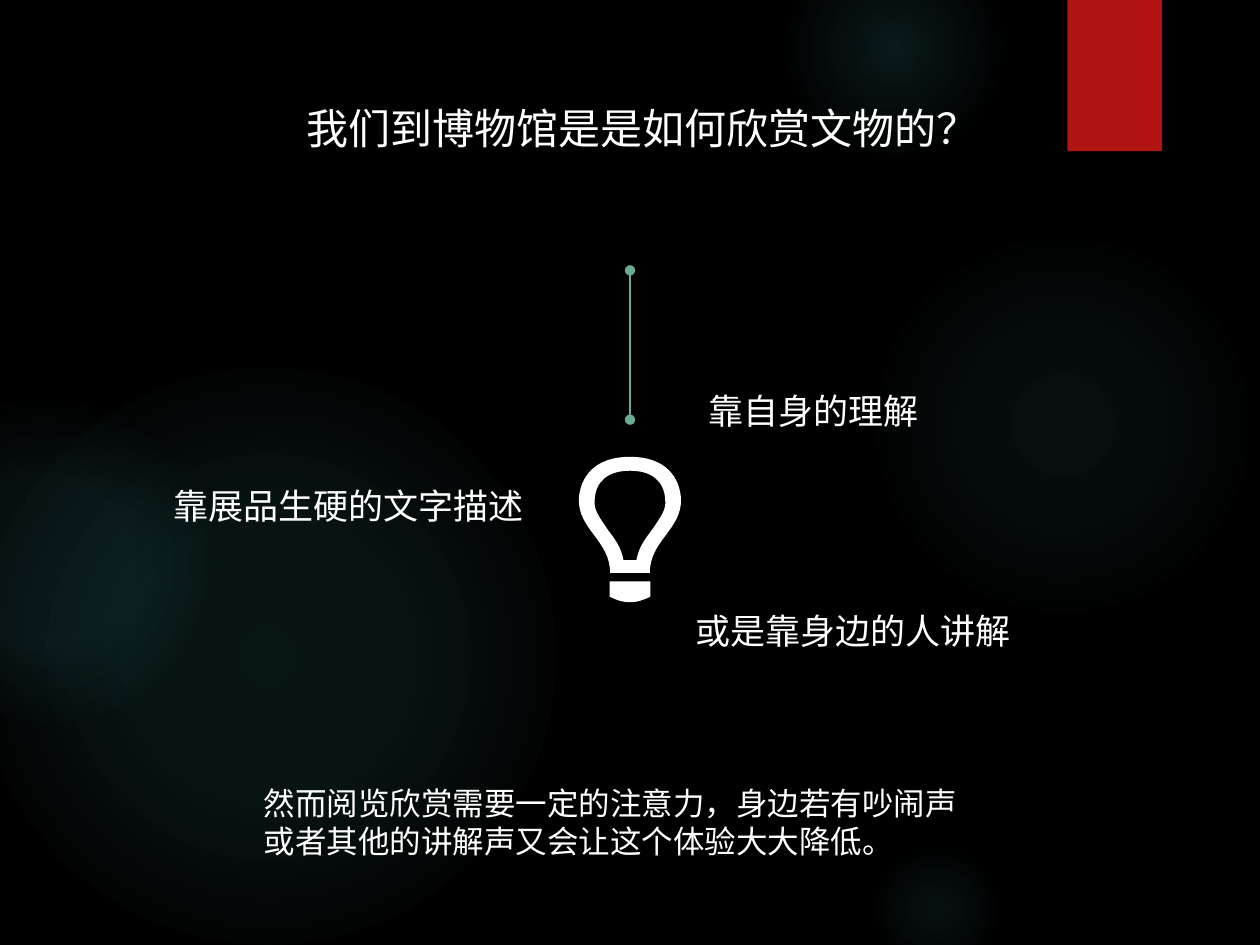
from lxml import etree
from pptx import Presentation
from pptx.dml.color import RGBColor
from pptx.enum.shapes import MSO_CONNECTOR, MSO_SHAPE
from pptx.enum.text import MSO_ANCHOR, MSO_AUTO_SIZE, PP_ALIGN
from pptx.oxml import parse_xml
from pptx.oxml.ns import nsdecls, qn
from pptx.util import Cm, Pt

OVAL, RECTANGLE = MSO_SHAPE.OVAL, MSO_SHAPE.RECTANGLE
STRAIGHT, TOP = MSO_CONNECTOR.STRAIGHT, MSO_ANCHOR.TOP
LEFT, CENTER, RIGHT = PP_ALIGN.LEFT, PP_ALIGN.CENTER, PP_ALIGN.RIGHT
FIXED, GROW = MSO_AUTO_SIZE.NONE, MSO_AUTO_SIZE.SHAPE_TO_FIT_TEXT

BLACK = RGBColor(0x00, 0x00, 0x00)
WHITE = RGBColor(0xFF, 0xFF, 0xFF)
TEAL = RGBColor(0x50, 0xB9, 0xC1)
GREEN = RGBColor(0x6A, 0xAC, 0x90)
RED = RGBColor(0xB0, 0x15, 0x13)

SANS, DISPLAY = "Noto Sans CJK SC", "League Spartan"
WIDTH, HEIGHT = 25.4, 19.05
AXIS = WIDTH / 2

TEXTS = [
    ("靠自身的理解", (13, 7.72, 6.81, 1.4), SANS, 20, CENTER, FIXED),
    ("靠展品生硬的文字描述", (2.22, 9.65, 8.59, 2.08), SANS, 20, RIGHT, FIXED),
    ("我们到博物馆是是如何欣赏文物的？", (5.93, 1.94, 14.94, 1.27), DISPLAY, 24, LEFT, GROW),
    ("或是靠身边的人讲解", (13.77, 12.17, 9.17, 1.96), SANS, 20, LEFT, GROW),
    ("然而阅览欣赏需要一定的注意力，身边若有吵闹声或者其他的讲解声又会让这个体验大大降低。",
     (5.07, 15.68, 14.48, 1.8), DISPLAY, 18, LEFT, GROW),
]

# left, top, diameter, then (position, opacity) stops in percent
GLOWS = [
    (17.5, 4.65, 7.82, [(0, 7), (36, 6), (69, 0)]),
    (15.8, -1.27, 4.45, [(0, 14), (36, 7), (73, 0)]),
    (17.5, 16.94, 2.74, [(0, 9), (36, 5), (66, 0)]),
    (-0.43, 7.42, 11.63, [(0, 11), (36, 10), (75, 0)]),
    (-2.34, 8.05, 6.55, [(0, 8), (36, 8), (72, 0)]),
]

# right halves: a start point, then three points per Bezier curve, from the bulb's top centre
BULB_TOP = 9.21
BULB_HALVES = [
    [(0.41, 2.51), (0.41, 2.51), (0.41, 2.82), (0.41, 2.82),
     (0.3, 2.87), (0.18, 2.93), (0, 2.93)],
    [(0.4, 2.34), (0.4, 1.68), (1.05, 1.47), (1.03, 0.84),
     (1, 0.43), (0.74, 0), (0, 0)],
    [(0.13, 2.08), (0.18, 1.8), (0.33, 1.63), (0.46, 1.45),
     (0.61, 1.22), (0.74, 1.07), (0.71, 0.86),
     (0.69, 0.48), (0.43, 0.28), (0, 0.28)],
]


def add_text(slide, text, box, font=SANS, size=20, align=LEFT, fit=FIXED, color=WHITE):
    frame = slide.shapes.add_textbox(*map(Cm, box)).text_frame
    frame.word_wrap = True
    frame.auto_size = fit
    frame.vertical_anchor = TOP
    paragraph = frame.paragraphs[0]
    paragraph.alignment = align
    run = paragraph.add_run()
    run.text = text
    run.font.name = font
    run.font.size = Pt(size)
    run.font.color.rgb = color
    etree.SubElement(run.font._element, qn("a:ea")).set("typeface", font)


def paint(shape, color):
    shape.shadow.inherit = False
    shape.line.fill.background()
    shape.fill.solid()
    shape.fill.fore_color.rgb = color


def add_decoration(slide, kind, box, color):
    decoration = slide.shapes.add_shape(kind, *map(Cm, box))
    paint(decoration, color)
    master = slide.slide_layout.slide_master
    master.shapes._spTree.append(decoration._element)
    return decoration


def add_glow(slide, left, top, diameter, stops):
    glow = add_decoration(slide, OVAL, (left, top, diameter, diameter), TEAL)
    stop_xml = "".join(
        f'<a:gs pos="{position * 1000}"><a:srgbClr val="{TEAL}">'
        f'<a:alpha val="{opacity * 1000}"/></a:srgbClr></a:gs>'
        for position, opacity in stops)
    gradient = parse_xml(
        f'<a:gradFill {nsdecls("a")} rotWithShape="1"><a:gsLst>{stop_xml}</a:gsLst>'
        '<a:path path="circle"><a:fillToRect l="50000" t="50000" r="50000" b="50000"/>'
        '</a:path></a:gradFill>')
    properties = glow._element.spPr
    properties.replace(properties.find(qn("a:solidFill")), gradient)


def bulb_contour(half):
    outline = half + [(-x, y) for x, y in reversed(half[:-1])]
    return [(Cm(AXIS + x), Cm(BULB_TOP + y)) for x, y in outline]


def curve_segments(shape):
    segments = list(shape._element.iter(qn("a:lnTo")))
    for first, second, third in zip(segments[::3], segments[1::3], segments[2::3]):
        first.tag = qn("a:cubicBezTo")
        for segment in (second, third):
            first.append(segment[0])
            segment.getparent().remove(segment)


def add_bulb(slide):
    contours = [bulb_contour(half) for half in BULB_HALVES]
    builder = slide.shapes.build_freeform(*contours[0][0])
    for index, contour in enumerate(contours):
        if index:
            builder.move_to(*contour[0])
        builder.add_line_segments(contour[1:], close=True)
    bulb = builder.convert_to_shape()
    curve_segments(bulb)
    paint(bulb, WHITE)


def add_stem(slide, top, bottom):
    stem = slide.shapes.add_connector(STRAIGHT, Cm(AXIS), Cm(top), Cm(AXIS), Cm(bottom))
    stem.line.color.rgb = GREEN
    stem.line.width = Pt(0.75)
    for end in ("a:headEnd", "a:tailEnd"):
        etree.SubElement(stem.line._ln, qn(end)).set("type", "oval")
    etree.SubElement(stem._element.spPr, qn("a:effectLst"))


def main():
    deck = Presentation()
    deck.slide_width, deck.slide_height = Cm(WIDTH), Cm(HEIGHT)
    slide = deck.slides.add_slide(deck.slide_layouts[6])
    slide.background.fill.solid()
    slide.background.fill.fore_color.rgb = BLACK
    for glow in GLOWS:
        add_glow(slide, *glow)
    add_decoration(slide, RECTANGLE, (21.52, 0, 1.91, 3.05), RED)
    add_stem(slide, 5.45, 8.46)
    add_bulb(slide)
    for text, box, font, size, align, fit in TEXTS:
        add_text(slide, text, box, font=font, size=size, align=align, fit=fit)
    deck.save("out.pptx")


if __name__ == "__main__":
    main()
